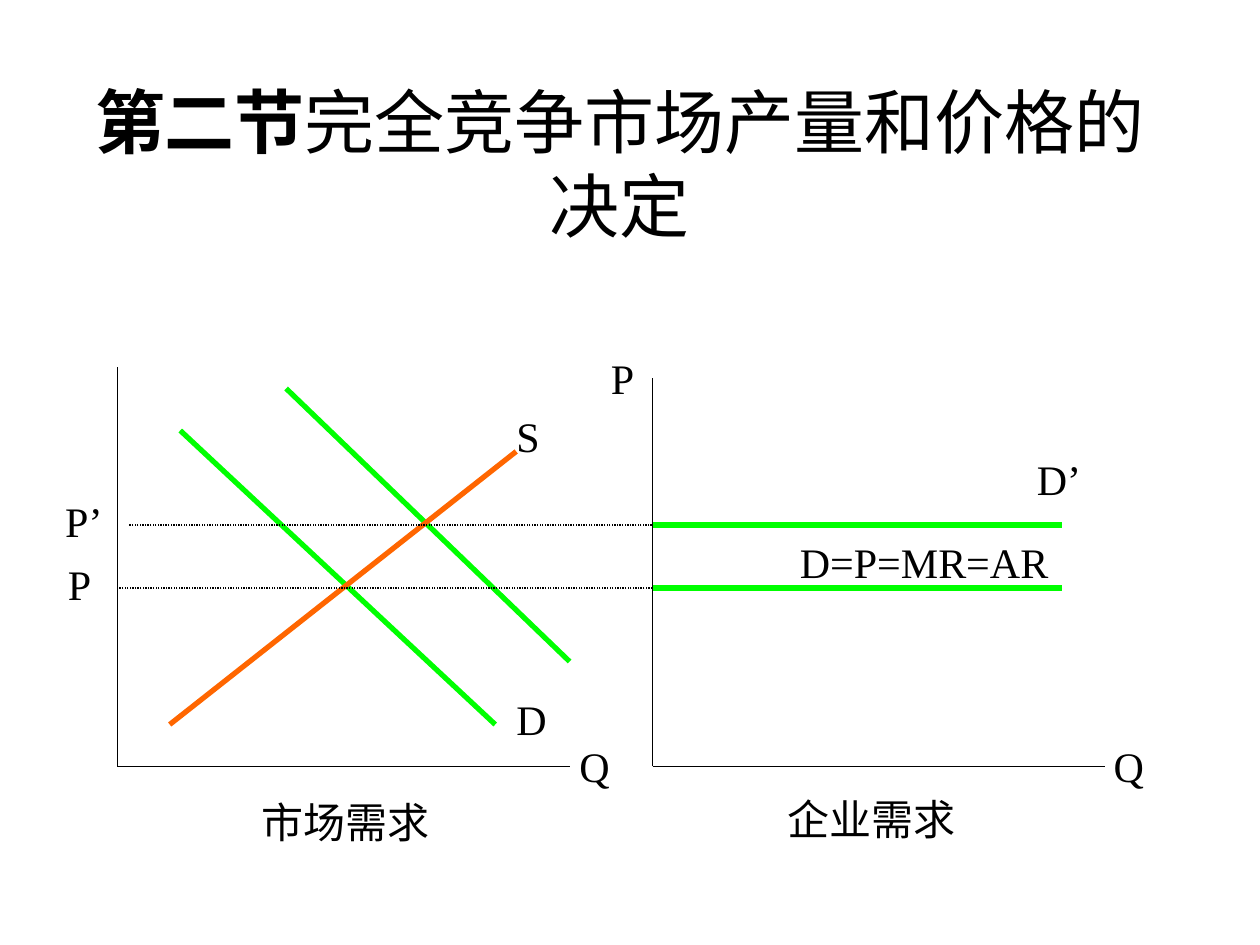
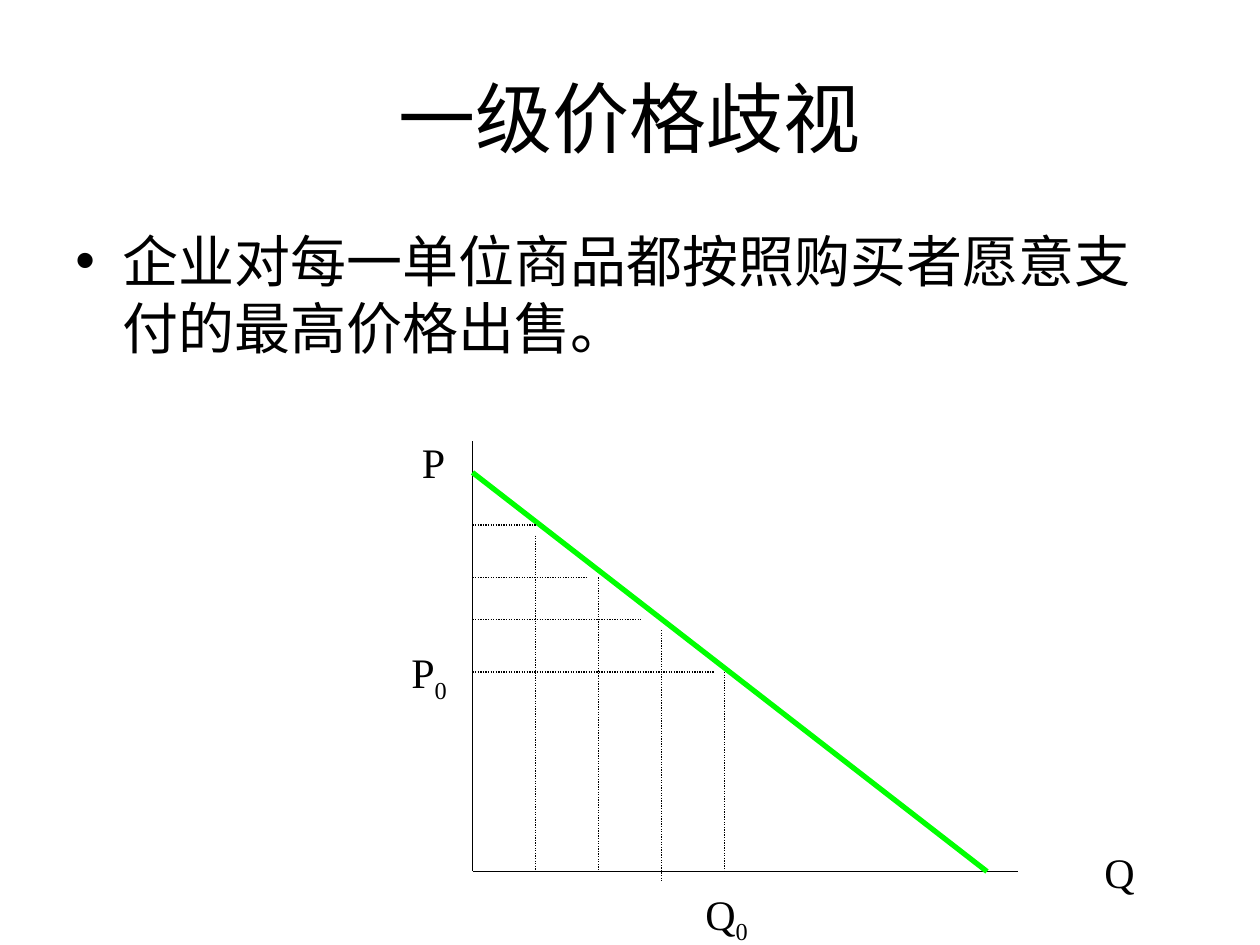
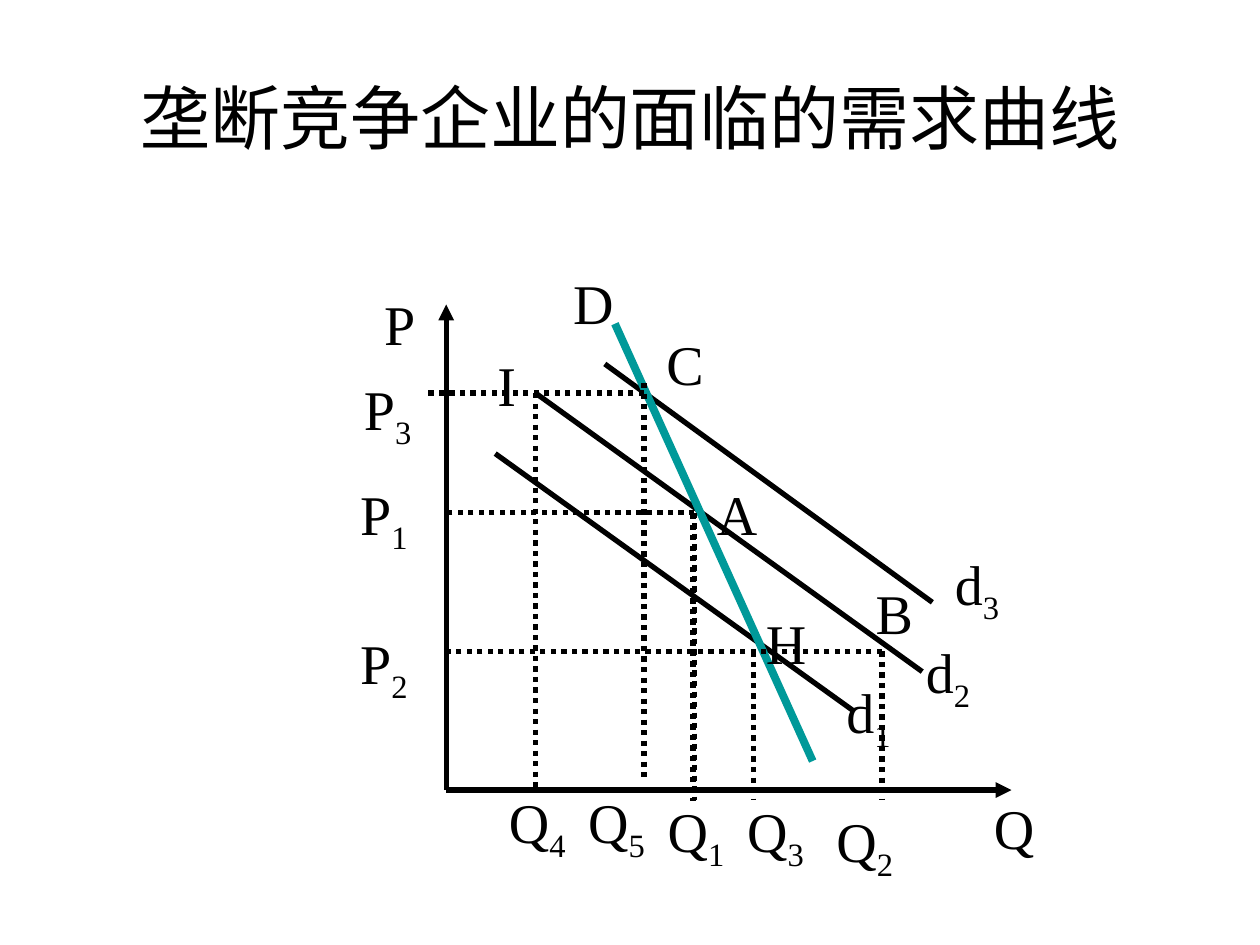
from lxml.etree import SubElement
from pptx import Presentation
from pptx.dml.color import RGBColor
from pptx.enum.dml import MSO_LINE
from pptx.enum.shapes import MSO_CONNECTOR
from pptx.enum.text import MSO_ANCHOR, MSO_AUTO_SIZE, PP_ALIGN
from pptx.oxml.ns import qn
from pptx.util import Pt

BLACK, GREEN, ORANGE, TEAL = "000000", "00FF00", "FF6600", "009999"
TITLE_FONT, LABEL_FONT = "Arial", "Times New Roman"
TITLE_BOX = (36, 21.6, 648, 90)
THIN = {"width": Pt(0.75)}
THIN_DOTS = {"width": Pt(0.75), "dash_style": MSO_LINE.ROUND_DOT}
THICK = {"width": Pt(3)}
THICK_DOTS = {"width": Pt(3), "dash_style": MSO_LINE.ROUND_DOT}
HEAVY = {"width": Pt(4.5)}
LETTER_WIDTHS = {
    **dict.fromkeys("ADHQ", 0.722), **dict.fromkeys("BCR", 0.667),
    **dict.fromkeys("PS", 0.556), **dict.fromkeys("I’", 0.333),
    "M": 0.889, "=": 0.564, "d": 0.5,
}


def hex_color(value):
    """Turn a hex string into a colour."""
    return RGBColor.from_string(value)


def set_all(target, values):
    """Set every named attribute of an object."""
    for name, value in values.items():
        setattr(target, name, value)


def place(shape, left, top, width, height):
    """Move and size a shape in points."""
    set_all(shape, {"left": Pt(left), "top": Pt(top), "width": Pt(width), "height": Pt(height)})


def add_span(para, text, size, font, bold=False):
    """Append one formatted run of black text."""
    span = para.add_run()
    span.text = text
    set_all(span.font, {"size": Pt(size), "name": font, "bold": bold})
    span.font.color.rgb = hex_color(BLACK)
    return span


def add_page(deck, spans, size, box=TITLE_BOX):
    """Add a title-only slide whose title is made of (text, bold) spans."""
    page = deck.slides.add_slide(deck.slide_layouts[5])
    title = page.shapes.title
    place(title, *box)
    set_all(title.text_frame, {
        "word_wrap": True, "auto_size": MSO_AUTO_SIZE.NONE, "vertical_anchor": MSO_ANCHOR.MIDDLE,
    })
    para = title.text_frame.paragraphs[0]
    para.alignment = PP_ALIGN.CENTER
    for text, bold in spans:
        add_span(para, text, size, TITLE_FONT, bold)
    return page


def add_bullet(page, text, box):
    """Add a bulleted paragraph in its own box."""
    body = page.shapes.add_textbox(*map(Pt, box))
    body.text_frame.word_wrap = True
    para = body.text_frame.paragraphs[0]
    properties = para._p.get_or_add_pPr()
    properties.set("marL", str(Pt(27)))
    properties.set("indent", str(Pt(-27)))
    SubElement(properties, qn("a:buFont")).set("typeface", TITLE_FONT)
    SubElement(properties, qn("a:buChar")).set("char", "•")
    add_span(para, text, 32, TITLE_FONT)


def add_lines(page, corner, style, color, segments, arrow=False):
    """Draw segments (x1, y1, x2, y2) relative to the corner of a diagram."""
    left, top = corner
    for x1, y1, x2, y2 in segments:
        line = page.shapes.add_connector(
            MSO_CONNECTOR.STRAIGHT, Pt(left + x1), Pt(top + y1), Pt(left + x2), Pt(top + y2))
        line.line.color.rgb = hex_color(color)
        set_all(line.line, style)
        if arrow:
            SubElement(line.line._get_or_add_ln(), qn("a:tailEnd")).set("type", "triangle")
        SubElement(line._element.spPr, qn("a:effectLst"))


def add_labels(page, corner, size, labels):
    """Write labels (text, x, y[, width]); an underscore starts a subscript."""
    for text, x, y, *fixed in labels:
        base, _, subscript = text.partition("_")
        ems = sum(LETTER_WIDTHS.get(letter, 1) for letter in base) + 0.29 * len(subscript)
        width = fixed[0] if fixed else 14.4 + size * ems
        height = 7.2 + size * (1.36 if subscript else 1.2)
        box = page.shapes.add_textbox(Pt(corner[0] + x), Pt(corner[1] + y), Pt(width), Pt(height))
        box.text_frame.word_wrap = bool(fixed)
        para = box.text_frame.paragraphs[0]
        add_span(para, base, size, LABEL_FONT)
        if subscript:
            span = add_span(para, subscript, size, LABEL_FONT)
            span._r.get_or_add_rPr().set("baseline", "-25000")


def draw_market(page, corner):
    """Draw market supply and demand, with price lines reaching to the firm."""
    add_lines(page, corner, THIN, BLACK, [(0, 228, 258.5, 228), (0, 228, 0, 0)])
    add_lines(page, corner, THICK, GREEN, [(36, 36, 216, 204), (96.5, 12, 258.5, 168)])
    add_lines(page, corner, THICK, ORANGE, [(228, 48, 30, 204)])
    add_lines(page, corner, THIN_DOTS, BLACK, [(540, 126, 0, 126), (330.5, 90, 6.5, 90)])
    add_labels(page, corner, 24, [
        ("D", 221, 183), ("S", 221, 21), ("P", -35.3, 105.4), ("P’", -36.8, 69.4),
        ("Q", 257, 209.8), ("市场需求", 75.6, 241.4),
    ])


def draw_firm(page, corner):
    """Draw the flat demand curves of a single firm."""
    add_lines(page, corner, THIN, BLACK, [(0, 228, 258.5, 228), (0, 228, 0, 6)])
    add_lines(page, corner, THICK, GREEN, [(0, y, 234, y) for y in (90, 126)])
    add_labels(page, corner, 24, [
        ("Q", 256.3, 209.8), ("D=P=MR=AR", 77, 93), ("P", -31, -12),
        ("D’", 212.4, 45.6), ("企业需求", 69.8, 240),
    ])


def draw_discrimination(page, corner):
    """Draw a demand curve with one price step for each unit."""
    floor = 246
    add_lines(page, corner, THIN, BLACK, [(0, 0, 0, floor), (0, floor, 312, floor)])
    add_lines(page, corner, THICK, GREEN, [(0, 18, 294, floor)])
    prices = [(48, 36), (78, 66), (102, 96), (132, 138)]
    add_lines(page, corner, THIN_DOTS, BLACK, [(0, y, end, y) for y, end in prices])
    units = [(54, floor), (78, floor), (108, floor + 6), (132, floor)]
    add_lines(page, corner, THIN_DOTS, BLACK, [
        (36 * number, top, 36 * number, bottom) for number, (top, bottom) in enumerate(units, 1)])
    add_labels(page, corner, 24, [
        ("Q_0", 126, 252, 48), ("P_0", -42, 114, 48), ("P", -36, -6, 30), ("Q", 354, 228, 48),
    ])


def draw_monopolistic(page, corner):
    """Draw three demand curves d crossed by the steeper curve D."""
    floor, high, middle, low = 277.5, 50.6, 119, 198.2
    add_lines(page, corner, THICK, BLACK, [(0, floor, 323, floor), (0, floor, 0, 0)], arrow=True)
    add_lines(page, corner, THICK, BLACK, [
        (90.6, 34, 277.8, 170.2), (51, high, 272, 209.8), (28, 85.2, 232.4, 232)])
    add_lines(page, corner, HEAVY, TEAL, [(96.4, 11, 209.4, 260.9)])
    prices = [(113, high, -11.6), (141.7, middle, 0), (249, low, 0)]
    add_lines(page, corner, THICK_DOTS, BLACK, [(start, y, end, y) for start, y, end in prices])
    quantities = [
        (51, high, floor), (141.7, middle, 283.2), (141, 119.8, 283.9),
        (175.6, low, 283.2), (113, 44.9, 271.7), (249, low, 283.2),
    ]
    add_lines(page, corner, THICK_DOTS, BLACK, [(x, top, x, end) for x, top, end in quantities])
    add_labels(page, corner, 32, [
        ("P", -42.6, -12), ("P_3", -54.1, 36.2), ("P_1", -56.3, 96.7), ("P_2", -56.3, 181.7),
        ("D", 65.4, -24.2), ("I", 22.2, 22.6), ("C", 118.7, 11), ("A", 147.5, 96.7),
        ("H", 175.6, 170.2), ("B", 238.2, 152.9),
        ("d_1", 221.6, 209.8), ("d_2", 267, 186.7), ("d_3", 283.6, 136.3),
        ("Q_4", 28.7, 272.4), ("Q_5", 74, 272.4), ("Q_1", 119.4, floor),
        ("Q_3", 164.8, floor), ("Q_2", 215.9, 283.2), ("Q", 305.9, 276),
    ])


def main():
    """Build the three slides and save the deck."""
    deck = Presentation()
    set_all(deck, {"slide_width": Pt(720), "slide_height": Pt(540)})

    page = add_page(deck, [("第二节", True), ("完全竞争市场产量和价格的决定", False)], 40,
                    (42, 48, 624, 90))
    draw_market(page, (67, 210))
    draw_firm(page, (373, 210))

    page = add_page(deck, [("一级价格歧视", False)], 44)
    add_bullet(page, "企业对每一单位商品都按照购买者愿意支付的最高价格出售。", (36, 126, 648, 356.4))
    draw_discrimination(page, (270, 252))

    page = add_page(deck, [("垄断竞争企业的面临的需求曲线", False)], 40)
    draw_monopolistic(page, (255, 174))

    deck.save("out.pptx")


if __name__ == "__main__":
    main()
